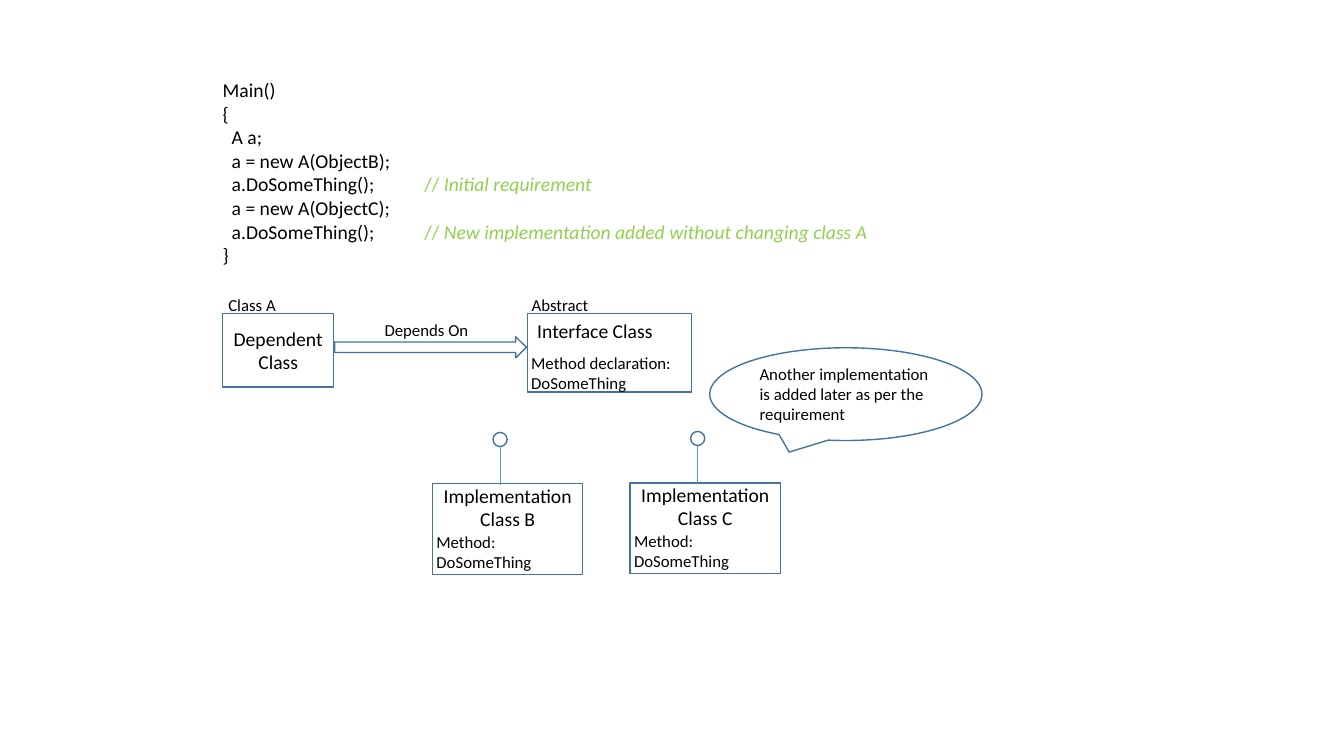
from dataclasses import dataclass

from lxml import etree
from pptx import Presentation
from pptx.dml.color import RGBColor
from pptx.enum.shapes import MSO_CONNECTOR, MSO_SHAPE
from pptx.enum.text import MSO_ANCHOR, PP_ALIGN
from pptx.oxml.ns import qn
from pptx.shapes.autoshape import Shape
from pptx.shapes.shapetree import GroupShapes, SlideShapes
from pptx.util import Inches, Pt

RECTANGLE = MSO_SHAPE.RECTANGLE
OVAL = MSO_SHAPE.OVAL
ARROW = MSO_SHAPE.RIGHT_ARROW
CALLOUT = MSO_SHAPE.OVAL_CALLOUT
STRAIGHT = MSO_CONNECTOR.STRAIGHT
LEFT, CENTER = PP_ALIGN.LEFT, PP_ALIGN.CENTER
TOP, MIDDLE = MSO_ANCHOR.TOP, MSO_ANCHOR.MIDDLE

Shapes = SlideShapes | GroupShapes


@dataclass(frozen=True)
class Theme:
    font: str = "Calibri"
    heading: int = 14
    detail: int = 12
    text: RGBColor = RGBColor(0, 0, 0)
    comment: RGBColor = RGBColor(0x92, 0xD0, 0x50)
    outline: RGBColor = RGBColor(0x43, 0x73, 0x9E)
    stem: RGBColor = RGBColor(0x5B, 0x9B, 0xD5)
    outline_width: float = 1
    stem_width: float = 0.5


@dataclass(frozen=True)
class Area:
    left: float
    top: float
    width: float
    height: float

    def lengths(self) -> list[Inches]:
        return [Inches(n) for n in (self.left, self.top, self.width, self.height)]


@dataclass(frozen=True)
class CodeLine:
    code: str
    indented: bool = True
    comment: str = ""


@dataclass(frozen=True)
class Label:
    text: str
    area: Area


@dataclass(frozen=True)
class Implementation:
    name: str
    left: float
    top: float


THEME = Theme()
CODE_INDENT = Inches(0.09)
CODE = [
    CodeLine("Main()", indented=False),
    CodeLine("{", indented=False),
    CodeLine("A a;"),
    CodeLine("a = new A(ObjectB);"),
    CodeLine("a.DoSomeThing();", comment="Initial requirement"),
    CodeLine("a = new A(ObjectC);"),
    CodeLine("a.DoSomeThing();", comment="New implementation added without changing class A"),
    CodeLine("}", indented=False),
]
LABELS = [
    Label("Class A", Area(2.15, 2.91, 0.7, 0.23)),
    Label("Abstract", Area(5.17, 2.91, 0.77, 0.23)),
    Label("Depends On", Area(3.7, 3.14, 1.06, 0.27)),
]
IMPLEMENTATIONS = [
    Implementation("Implementation Class B", 4.29, 4.8),
    Implementation("Implementation Class C", 6.25, 4.79),
]


def add_span(para, text: str, *, size: int = THEME.heading,
             color: RGBColor = THEME.text, italic: bool = False) -> None:
    span = para.add_run()
    span.text = text
    span.font.name = THEME.font
    span.font.size = Pt(size)
    span.font.color.rgb = color
    span.font.italic = italic


def write(box: Shape, text: str, *, size: int = THEME.heading, align: PP_ALIGN = LEFT,
          anchor: MSO_ANCHOR = MIDDLE, wrap: bool = True,
          side: float = 0.1, top: float = 0.05) -> None:
    frame = box.text_frame
    frame.word_wrap = wrap
    frame.vertical_anchor = anchor
    frame.margin_left = frame.margin_right = Inches(side)
    frame.margin_top = Inches(top)
    for index, line in enumerate(text.split("\n")):
        para = frame.add_paragraph() if index else frame.paragraphs[0]
        para.alignment = align
        add_span(para, line, size=size)


def add_outline(shapes: Shapes, kind: MSO_SHAPE, area: Area) -> Shape:
    shape = shapes.add_shape(kind, *area.lengths())
    shape.shadow.inherit = False
    shape.fill.background()
    shape.line.color.rgb = THEME.outline
    shape.line.width = Pt(THEME.outline_width)
    return shape


def add_note(shapes: Shapes, text: str, area: Area, *, align: PP_ALIGN = LEFT,
             wrap: bool = True) -> None:
    box = shapes.add_textbox(*area.lengths())
    write(box, text, size=THEME.detail, align=align, wrap=wrap)


def add_code(shapes: Shapes, lines: list[CodeLine], area: Area) -> None:
    frame = shapes.add_textbox(*area.lengths()).text_frame
    frame.word_wrap = True
    frame.vertical_anchor = MIDDLE
    for index, line in enumerate(lines):
        para = frame.add_paragraph() if index else frame.paragraphs[0]
        if line.indented:
            properties = para._p.get_or_add_pPr()
            properties.set("marL", "0")
            properties.set("indent", str(CODE_INDENT))
        add_span(para, line.code + ("\t" if line.comment else ""))
        if line.comment:
            add_span(para, "// ", color=THEME.comment)
            add_span(para, line.comment, color=THEME.comment, italic=True)


def add_stem(shapes: Shapes, x: float, start: float, end: float) -> None:
    stem = shapes.add_connector(STRAIGHT, Inches(x), Inches(start), Inches(x), Inches(end))
    stem.line.color.rgb = THEME.stem
    stem.line.width = Pt(THEME.stem_width)
    etree.SubElement(stem._element.spPr, qn("a:effectLst"))


def add_implementation(shapes: Shapes, item: Implementation) -> None:
    group = shapes.add_group_shape().shapes
    left, top = item.left, item.top
    box = add_outline(group, RECTANGLE, Area(left, top, 1.49, 0.9))
    write(box, item.name, align=CENTER, anchor=TOP, side=0.05, top=0)
    add_note(group, "Method:\nDoSomeThing", Area(left - 0.06, top + 0.43, 1.44, 0.49))
    add_outline(group, OVAL, Area(left + 0.6, top - 0.51, 0.14, 0.14))
    add_stem(group, left + 0.67, top - 0.37, top + 0.01)


deck = Presentation()
deck.slide_width, deck.slide_height = Inches(13.33), Inches(7.5)
page = deck.slides.add_slide(deck.slide_layouts[6])

add_code(page.shapes, CODE, Area(2.11, 0.79, 6.63, 1.84))

dependent = add_outline(page.shapes, RECTANGLE, Area(2.21, 3.11, 1.1, 0.73))
write(dependent, "Dependent Class", align=CENTER, side=0.05)
interface = add_outline(page.shapes, RECTANGLE, Area(5.23, 3.11, 1.63, 0.78))
write(interface, "Interface Class", anchor=TOP)
add_note(page.shapes, "Method declaration: DoSomeThing", Area(5.17, 3.45, 1.63, 0.49))
add_outline(page.shapes, ARROW, Area(3.32, 3.34, 1.9, 0.21))

for label in LABELS:
    add_note(page.shapes, label.text, label.area, align=CENTER, wrap=False)
for implementation in IMPLEMENTATIONS:
    add_implementation(page.shapes, implementation)

callout = add_outline(page.shapes, CALLOUT, Area(7.04, 3.45, 2.7, 0.92))
write(callout, "Another implementation is added later as per the requirement", size=THEME.detail)

deck.save("out.pptx")
